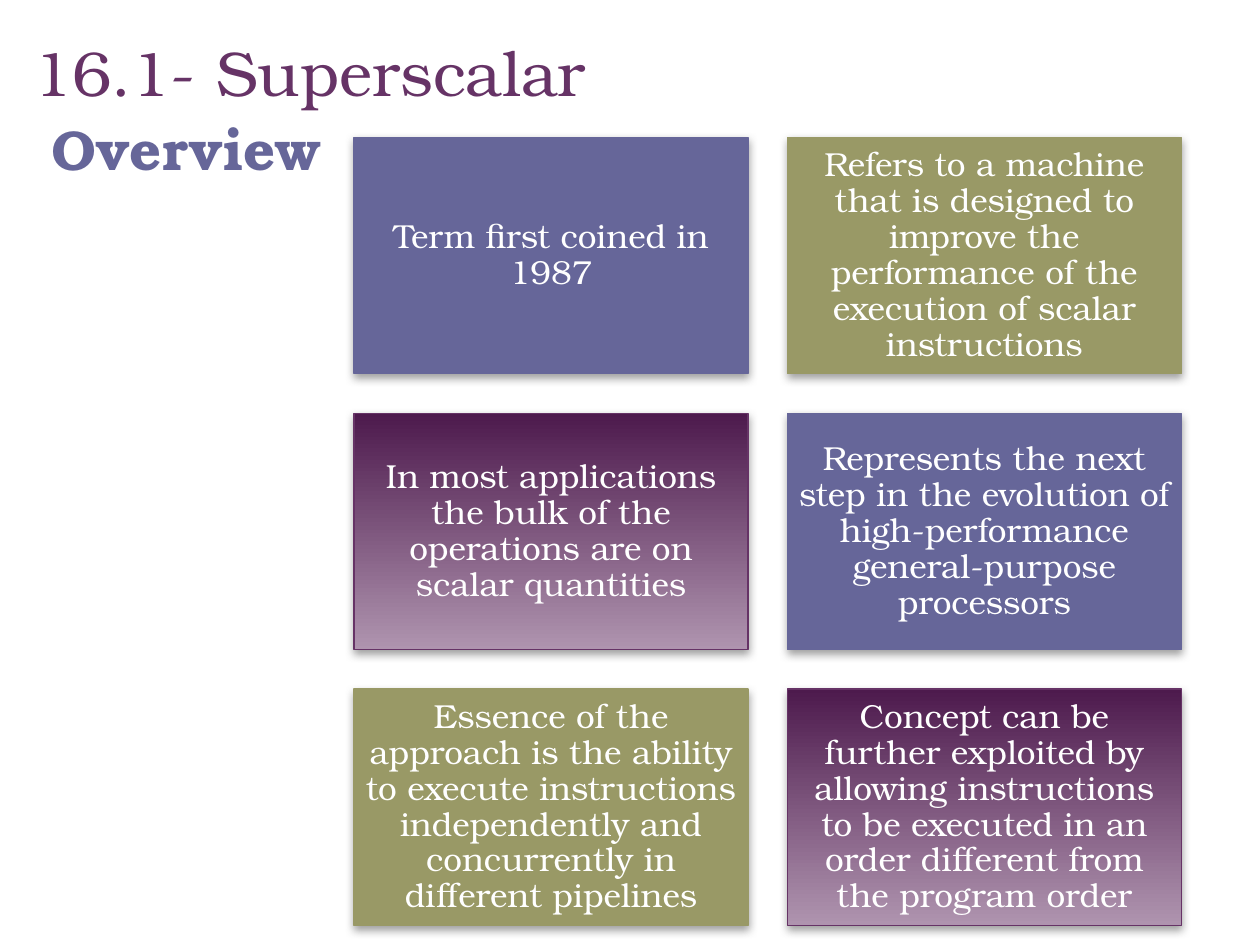
"""Build the superscalar overview slide with a grid of six statement boxes."""

from dataclasses import dataclass

from lxml.etree import SubElement
from pptx import Presentation
from pptx.dml.color import RGBColor
from pptx.enum.shapes import MSO_SHAPE
from pptx.enum.text import MSO_ANCHOR, PP_ALIGN
from pptx.oxml.ns import qn
from pptx.util import Pt

FONT = "TeX Gyre Bonum"
PURPLE, BLUE, OLIVE, WHITE = "663366", "666699", "999966", "FFFFFF"
GRID_LEFT, GRID_TOP, COLUMNS = 202.4, 78.6, 2
BOX_WIDTH, BOX_HEIGHT, GAP, INSET = 225, 135, 22.6, 5.7


@dataclass(frozen=True)
class Style:
    line: str
    stops: tuple[str, ...]


@dataclass(frozen=True)
class Statement:
    text: str
    style: Style


SOLID_BLUE = Style(BLUE, (BLUE,))
SOLID_OLIVE = Style(OLIVE, (OLIVE,))
PURPLE_FADE = Style(PURPLE, ("4D1A4D", "AF94AF"))

STATEMENTS = [
    Statement("Term first coined in 1987", SOLID_BLUE),
    Statement("Refers to a machine that is designed to improve the performance "
              "of the execution of scalar instructions", SOLID_OLIVE),
    Statement("In most applications the bulk of the operations are on scalar "
              "quantities", PURPLE_FADE),
    Statement("Represents the next step in the evolution of high-performance "
              "general-purpose processors", SOLID_BLUE),
    Statement("Essence of the approach is the ability to execute instructions "
              "independently and concurrently in different pipelines", SOLID_OLIVE),
    Statement("Concept can be further exploited by allowing instructions to be "
              "executed in an order different from the program order", PURPLE_FADE),
]


def color(value: str) -> RGBColor:
    return RGBColor.from_string(value)


def write(frame, text: str, size: float, text_color: str, bold: bool = False):
    frame.word_wrap = True
    paragraph = frame.paragraphs[0]
    paragraph.text = text
    font = paragraph.font
    font.name, font.size, font.bold = FONT, Pt(size), bold
    font.color.rgb = color(text_color)
    return paragraph


def paint(box, style: Style) -> None:
    box.line.color.rgb = color(style.line)
    box.line.width = Pt(0.75)
    if len(style.stops) == 1:
        box.fill.solid()
        box.fill.fore_color.rgb = color(style.stops[0])
        return
    box.fill.gradient()
    box.fill.gradient_angle = 270
    for stop, value in zip(box.fill.gradient_stops, style.stops):
        stop.color.rgb = color(value)


def add_shadow(box) -> None:
    box.shadow.inherit = False
    effects = box._element.spPr.find(qn("a:effectLst"))
    shadow = SubElement(effects, qn("a:outerShdw"), blurRad=str(Pt(5)),
                        dist=str(Pt(2)), dir="5400000", rotWithShape="0")
    shade = SubElement(shadow, qn("a:srgbClr"), val="808080")
    SubElement(shade, qn("a:alpha"), val="75000")


def add_statement(slide, index: int, statement: Statement) -> None:
    row, column = divmod(index, COLUMNS)
    box = slide.shapes.add_shape(
        MSO_SHAPE.RECTANGLE,
        Pt(GRID_LEFT + column * (BOX_WIDTH + GAP)),
        Pt(GRID_TOP + row * (BOX_HEIGHT + GAP)),
        Pt(BOX_WIDTH), Pt(BOX_HEIGHT))
    paint(box, statement.style)
    add_shadow(box)
    frame = box.text_frame
    frame.margin_left = frame.margin_right = Pt(INSET)
    frame.margin_top = frame.margin_bottom = Pt(INSET)
    frame.vertical_anchor = MSO_ANCHOR.MIDDLE
    paragraph = write(frame, statement.text, 19, WHITE)
    paragraph.alignment = PP_ALIGN.CENTER
    paragraph.line_spacing = 0.9


def add_title(slide, text: str) -> None:
    title = slide.shapes.title
    title.left, title.top, title.width, title.height = Pt(12), Pt(12), Pt(595), Pt(54)
    title.text_frame.vertical_anchor = MSO_ANCHOR.BOTTOM
    write(title.text_frame, text, 36, PURPLE).alignment = PP_ALIGN.LEFT


def add_subtitle(slide, text: str) -> None:
    box = slide.shapes.add_textbox(Pt(22.5), Pt(62), Pt(198), Pt(72))
    write(box.text_frame, text, 32, BLUE, bold=True).space_before = Pt(20)


def main() -> None:
    deck = Presentation()
    deck.slide_width, deck.slide_height = Pt(720), Pt(540)
    slide = deck.slides.add_slide(deck.slide_layouts.get_by_name("Title Only"))
    add_title(slide, "16.1- Superscalar")
    for index, statement in enumerate(STATEMENTS):
        add_statement(slide, index, statement)
    add_subtitle(slide, "Overview")
    deck.save("out.pptx")


if __name__ == "__main__":
    main()
